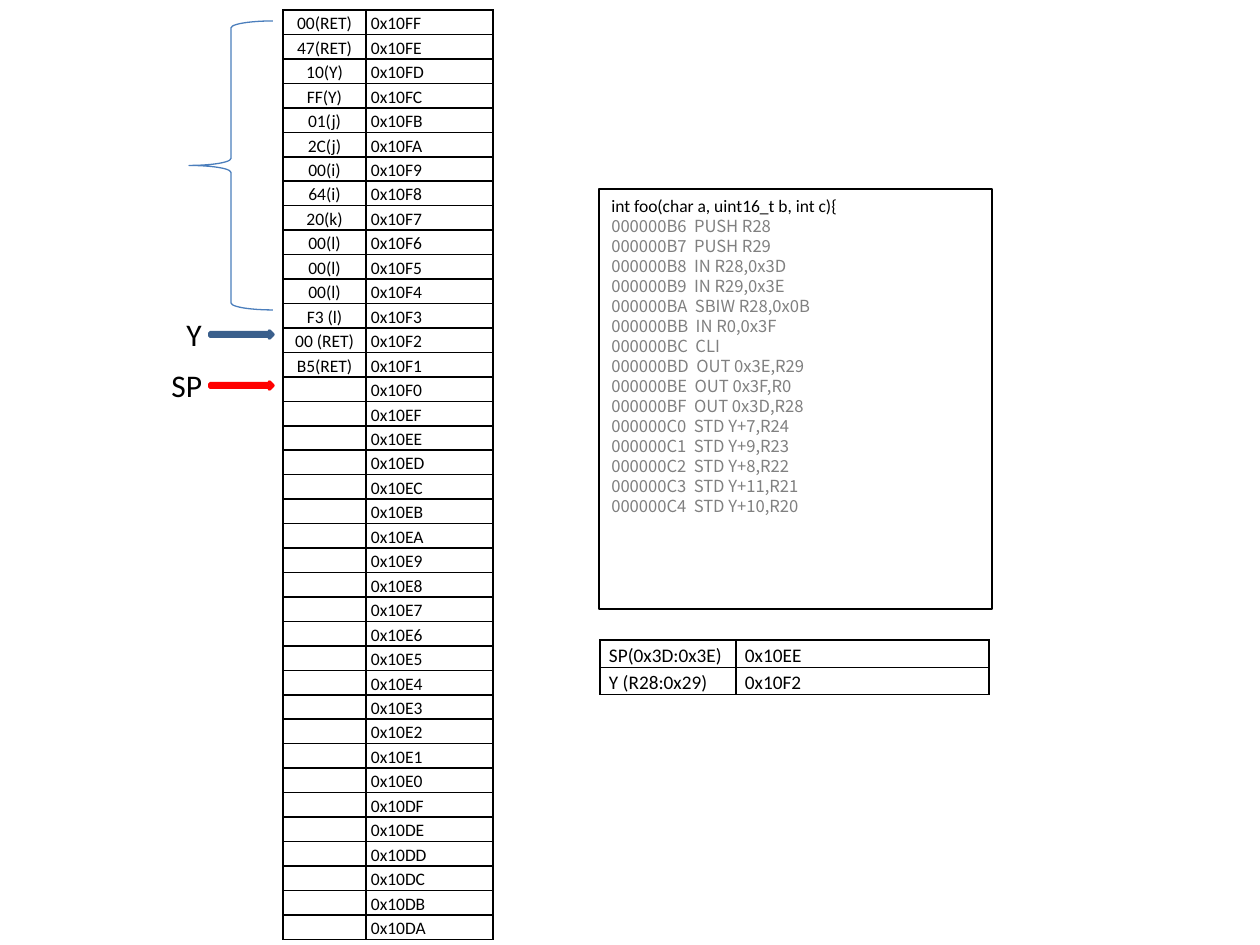
from lxml.etree import SubElement
from pptx import Presentation
from pptx.dml.color import RGBColor
from pptx.enum.shapes import MSO_SHAPE as Preset
from pptx.enum.text import MSO_ANCHOR as Anchor, PP_ALIGN as Align
from pptx.oxml import parse_xml
from pptx.oxml.ns import nsdecls, qn
from pptx.util import Emu, Pt

PX = 914400 / 126
THEME = {
    "black": "000000", "white": "FFFFFF", "grey": "808080", "blue": "4F81BD",
    "dark_blue": "3A5F8C", "brace": "4B7EBC", "red": "FF0000",
    "text_font": "Calibri", "code_font": "Noto Sans CJK SC",
    "stack_size": 10, "register_size": 11, "code_size": 9.5, "label_size": 18,
}


def px(*lengths):
    return [Emu(round(length * PX)) for length in lengths]


def write(para, text, size, color="black", font="text_font", **layout):
    """Add one styled span to a paragraph and set its paragraph format."""
    for name, value in {"alignment": Align.LEFT, **layout}.items():
        setattr(para, name, value)
    if not text:
        # An empty line takes its height from the end mark.
        SubElement(para._p, qn("a:endParaRPr"), sz=str(THEME[size] * 100))
        return
    span = para.add_run()
    span.text = text
    for name, value in {"size": Pt(THEME[size]), "name": THEME[font]}.items():
        setattr(span.font, name, value)
    span.font.color.rgb = RGBColor.from_string(THEME[color])


deck = Presentation()
deck.slide_width, deck.slide_height = px(1260, 945)
page = deck.slides.add_slide(deck.slide_layouts[6])

# Stack memory and register tables
stack_values = ["00(RET)", "47(RET)", "10(Y)", "FF(Y)", "01(j)", "2C(j)",
                "00(i)", "64(i)", "20(k)", "00(l)", "00(l)", "00(l)",
                "F3 (l)", "00 (RET)", "B5(RET)"]
TOP_ADDRESS, STACK_ROWS = 0x10FF, 38
stack_values += [""] * (STACK_ROWS - len(stack_values))
stack = [(value, f"0x{TOP_ADDRESS - offset:04X}")
         for offset, value in enumerate(stack_values)]
registers = [("SP(0x3D:0x3E)", "0x10EE"), ("Y (R28:0x29)", "0x10F2")]

tables = [
    (stack, (283, 10), (83, 127), 24, 5, "stack_size", Align.CENTER),
    (registers, (600, 640), (136, 253), 27, 9, "register_size", Align.LEFT),
]
for rows, corner, widths, row_height, inset, size, first_align in tables:
    frame = page.shapes.add_table(
        len(rows), 2, *px(*corner, sum(widths), row_height * len(rows)))
    table = frame.table
    table.first_row = table.horz_banding = False
    for column, width in zip(table.columns, px(*widths)):
        column.width = width
    for row_index, row in enumerate(rows):
        table.rows[row_index].height = px(row_height)[0]
        for column_index, text in enumerate(row):
            cell = table.cell(row_index, column_index)
            margin = px(inset)[0]
            for name, value in {"margin_left": margin, "margin_right": margin,
                                "margin_top": 0, "margin_bottom": 0,
                                "vertical_anchor": Anchor.TOP}.items():
                setattr(cell, name, value)
            for side in "LRTB":
                cell._tc.get_or_add_tcPr().append(parse_xml(
                    f'<a:ln{side} {nsdecls("a")} w="12700"><a:solidFill>'
                    f'<a:srgbClr val="{THEME["black"]}"/></a:solidFill></a:ln{side}>'))
            cell.fill.background()
            write(cell.text_frame.paragraphs[0], text, size, line_spacing=1.15,
                  alignment=Align.LEFT if column_index else first_align)

# Code panel, pointer arrows and the brace over the stack frame
outlines = [
    (Preset.RECTANGLE, (599, 189, 393, 420), "white", "black", 0.75),
    (Preset.RIGHT_ARROW, (210, 331, 63, 7), "blue", "dark_blue", 2),
    (Preset.RIGHT_ARROW, (210, 382, 63, 7), "blue", "red", 2),
    (Preset.LEFT_BRACE, (189, 21, 84, 289), None, "brace", 0.75),
]
shapes = []
for preset, place, fill, line, weight in outlines:
    shape = page.shapes.add_shape(preset, *px(*place))
    shape.shadow.inherit = False
    if fill:
        shape.fill.solid()
        shape.fill.fore_color.rgb = RGBColor.from_string(THEME[fill])
    else:
        shape.fill.background()
    shape.line.color.rgb = RGBColor.from_string(THEME[line])
    shape.line.width = Pt(weight)
    shapes.append(shape)

code_lines = [
    "PUSH R28", "PUSH R29", "IN R28,0x3D", "IN R29,0x3E", "SBIW R28,0x0B",
    "IN R0,0x3F", "CLI", "OUT 0x3E,R29", "OUT 0x3F,R0", "OUT 0x3D,R28",
    "STD Y+7,R24", "STD Y+9,R23", "STD Y+8,R22", "STD Y+11,R21", "STD Y+10,R20",
]
code = shapes[0].text_frame
code.word_wrap = True
code.vertical_anchor = Anchor.TOP
write(code.paragraphs[0], "int foo(char a, uint16_t b, int c){", "stack_size")
for address, instruction in enumerate(code_lines, start=0xB6):
    write(code.add_paragraph(), f"{address:08X}  {instruction}", "code_size",
          "grey", "code_font", line_spacing=Pt(11.4))

# Pointer labels
for text, place in [("Y", (174, 309, 32, 50)), ("SP", (159, 360, 57, 50))]:
    box = page.shapes.add_textbox(*px(*place))
    box.text_frame.word_wrap = False
    write(box.text_frame.paragraphs[0], text, "label_size")

deck.save("out.pptx")
